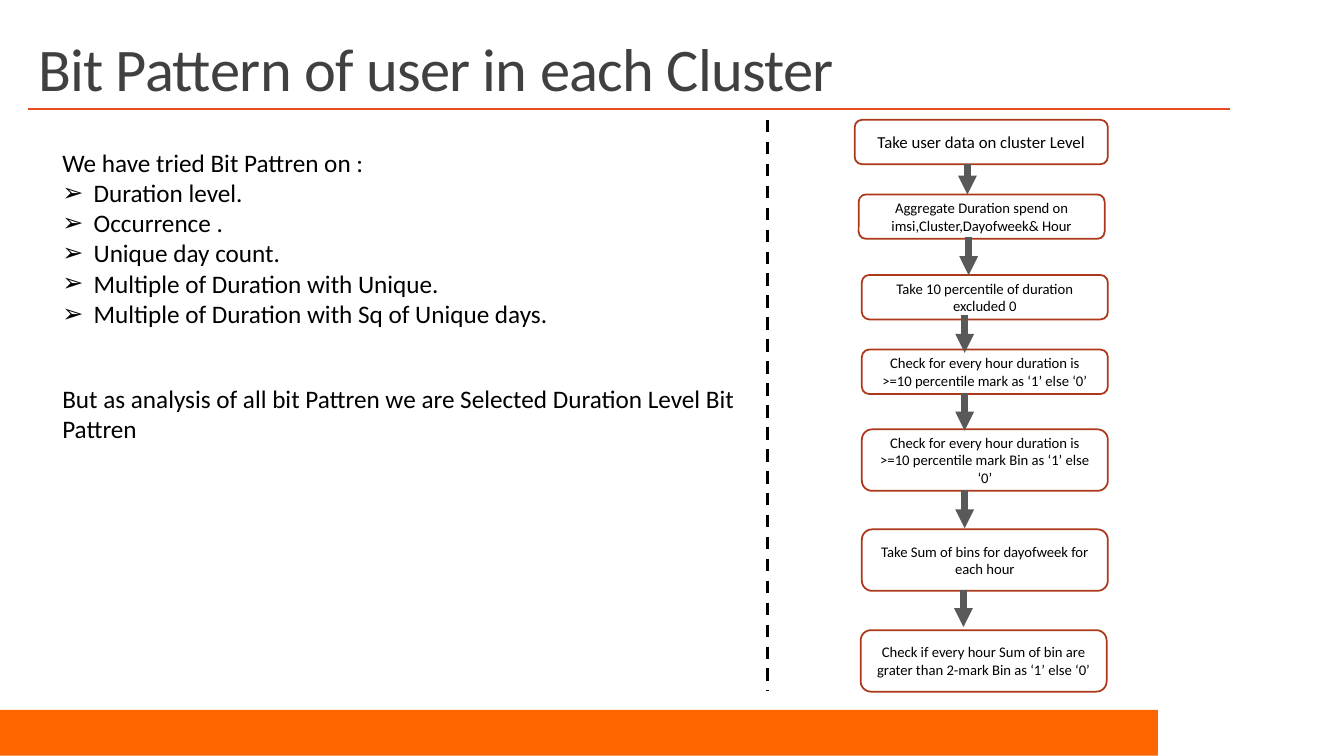
from dataclasses import dataclass

from lxml import etree
from pptx import Presentation
from pptx import util as u
from pptx.dml.color import RGBColor
from pptx.enum import dml, shapes, text
from pptx.oxml import ns


@dataclass(frozen=True)
class Theme:
    font: str = "Calibri"
    footer: str = "FF6600"
    rule: str = "E84C22"
    title: str = "404040"
    ink: str = "000000"
    step_border: str = "AC3819"
    arrow: str = "595959"
    title_size: float = 43.2
    body_size: float = 18
    lead_step_size: float = 12
    step_size: float = 10.5


THEME = Theme()

LEVELS = [
    "Duration level.",
    "Occurrence .",
    "Unique day count.",
    "Multiple of Duration with Unique.",
    "Multiple of Duration with Sq of Unique days.",
]

# Wording, left and top within the flow, width, height (cm), type size
STEPS = [
    ("Take user data on cluster Level", 0, 0, 6.38, 1.12, THEME.lead_step_size),
    ("Aggregate Duration spend on imsi,Cluster,Dayofweek& Hour",
     0.1, 1.88, 6.2, 1.12, THEME.step_size),
    ("Take 10 percentile of duration excluded 0",
     0.18, 3.91, 6.2, 1.12, THEME.step_size),
    ("Check for every hour duration is >=10 percentile mark as ‘1’ else ‘0’",
     0.18, 5.79, 6.2, 1.12, THEME.step_size),
    ("Check for every hour duration is >=10 percentile mark Bin as ‘1’ else ‘0’",
     0.18, 7.8, 6.2, 1.55, THEME.step_size),
    ("Take Sum of bins for dayofweek for each hour",
     0.18, 10.32, 6.2, 1.55, THEME.step_size),
    ("Check if every hour Sum of bin are grater than 2-mark Bin as ‘1’ else ‘0’",
     0.15, 12.86, 6.2, 1.55, THEME.step_size),
]

# Position across, start and end within the flow (cm)
ARROWS = [
    (2.84, 1.12, 1.88),
    (2.87, 2.95, 3.91),
    (2.77, 4.93, 5.87),
    (2.77, 6.89, 7.83),
    (2.77, 9.32, 10.29),
    (2.74, 11.84, 12.78),
]


def apply_format(target, values):
    for name, value in values.items():
        setattr(target, name, value)


def cm(*lengths):
    return [u.Cm(length) for length in lengths]


def write(paragraph, words, size, color):
    run = paragraph.add_run()
    run.text = words
    apply_format(run.font, {"name": THEME.font, "size": u.Pt(size)})
    run.font.color.rgb = RGBColor.from_string(color)
    return run


def add_rule(slide, start, end, color, width):
    rule = slide.shapes.add_connector(shapes.MSO_CONNECTOR.STRAIGHT, *cm(*start, *end))
    rule.line.color.rgb = RGBColor.from_string(color)
    rule.line.width = u.Pt(width)
    etree.SubElement(rule.line._get_or_add_ln().getparent(), ns.qn("a:effectLst"))
    return rule


def add_words(slide, box, anchor=text.MSO_ANCHOR.TOP):
    frame = slide.shapes.add_textbox(*cm(*box)).text_frame
    apply_format(frame, {"word_wrap": True, "vertical_anchor": anchor})
    return frame


def add_footer(slide, box):
    band = slide.shapes.add_shape(shapes.MSO_SHAPE.RECTANGLE, *cm(*box))
    band.shadow.inherit = False
    band.fill.solid()
    band.fill.fore_color.rgb = RGBColor.from_string(THEME.footer)
    band.line.fill.background()


def add_title(slide, box):
    left, top, width, height = box
    add_rule(slide, (left, top + height), (left + width, top + height), THEME.rule, 1.5)
    heading = add_words(slide, box, text.MSO_ANCHOR.BOTTOM).paragraphs[0]
    heading.line_spacing = 0.85
    run = write(heading, "Bit Pattern of user in each Cluster",
                THEME.title_size, THEME.title)
    run.font._element.set("spc", "-50")


def add_bullet(paragraph):
    properties = paragraph._p.get_or_add_pPr()
    indent = u.Cm(0.79)
    apply_values = {"marL": indent, "indent": -indent}
    for name, value in apply_values.items():
        properties.set(name, str(int(value)))
    etree.SubElement(properties, ns.qn("a:buFont")).set("typeface", "Arial")
    etree.SubElement(properties, ns.qn("a:buChar")).set("char", "➢")


def add_findings(slide, box):
    left, top, width, height = box
    # Levels that were tried
    tried = add_words(slide, (left, top, width, 4.88))
    write(tried.paragraphs[0], "We have tried Bit Pattren on :",
          THEME.body_size, THEME.ink)
    for level in LEVELS:
        item = tried.add_paragraph()
        add_bullet(item)
        write(item, level, THEME.body_size, THEME.ink)
    # Level that was selected
    selected = add_words(slide, (left, top + height - 1.8, 17.58, 1.8))
    write(selected.paragraphs[0],
          "But as analysis of all bit Pattren we are Selected "
          "Duration Level Bit Pattren", THEME.body_size, THEME.ink)


def add_step(slide, box, words, size):
    step = slide.shapes.add_shape(shapes.MSO_SHAPE.ROUNDED_RECTANGLE, *cm(*box))
    step.shadow.inherit = False
    step.fill.background()
    step.line.color.rgb = RGBColor.from_string(THEME.step_border)
    step.line.width = u.Pt(1.25)
    apply_format(step.text_frame, {"word_wrap": True,
                                   "vertical_anchor": text.MSO_ANCHOR.MIDDLE})
    label = step.text_frame.paragraphs[0]
    label.alignment = text.PP_ALIGN.CENTER
    write(label, words, size, THEME.ink)


def add_flow(slide, box):
    left, top = box[:2]
    for words, across, down, width, height, size in STEPS:
        add_step(slide, (left + across, top + down, width, height), words, size)
    for across, start, end in ARROWS:
        arrow = add_rule(slide, (left + across, top + start),
                         (left + across, top + end), THEME.arrow, 4.5)
        tip = etree.SubElement(arrow.line._get_or_add_ln(), ns.qn("a:tailEnd"))
        tip.set("type", "triangle")


def add_divider(slide, box):
    left, top, _, height = box
    divider = add_rule(slide, (left, top), (left, top + height), THEME.ink, 2.25)
    divider.line.dash_style = dml.MSO_LINE.DASH


def main():
    deck = Presentation()
    apply_format(deck, {"slide_width": u.Cm(33.87), "slide_height": u.Cm(19.05)})
    slide = deck.slides.add_slide(deck.slide_layouts[6])
    add_footer(slide, (0, 17.89, 29.18, 1.15))
    add_title(slide, (0.71, 0.79, 30.28, 1.95))
    add_flow(slide, (21.54, 3.02, 6.38, 14.41))
    add_divider(slide, (19.35, 3.02, 0, 14.38))
    add_findings(slide, (1.32, 3.58, 19.28, 7.75))
    deck.save("out.pptx")


if __name__ == "__main__":
    main()
